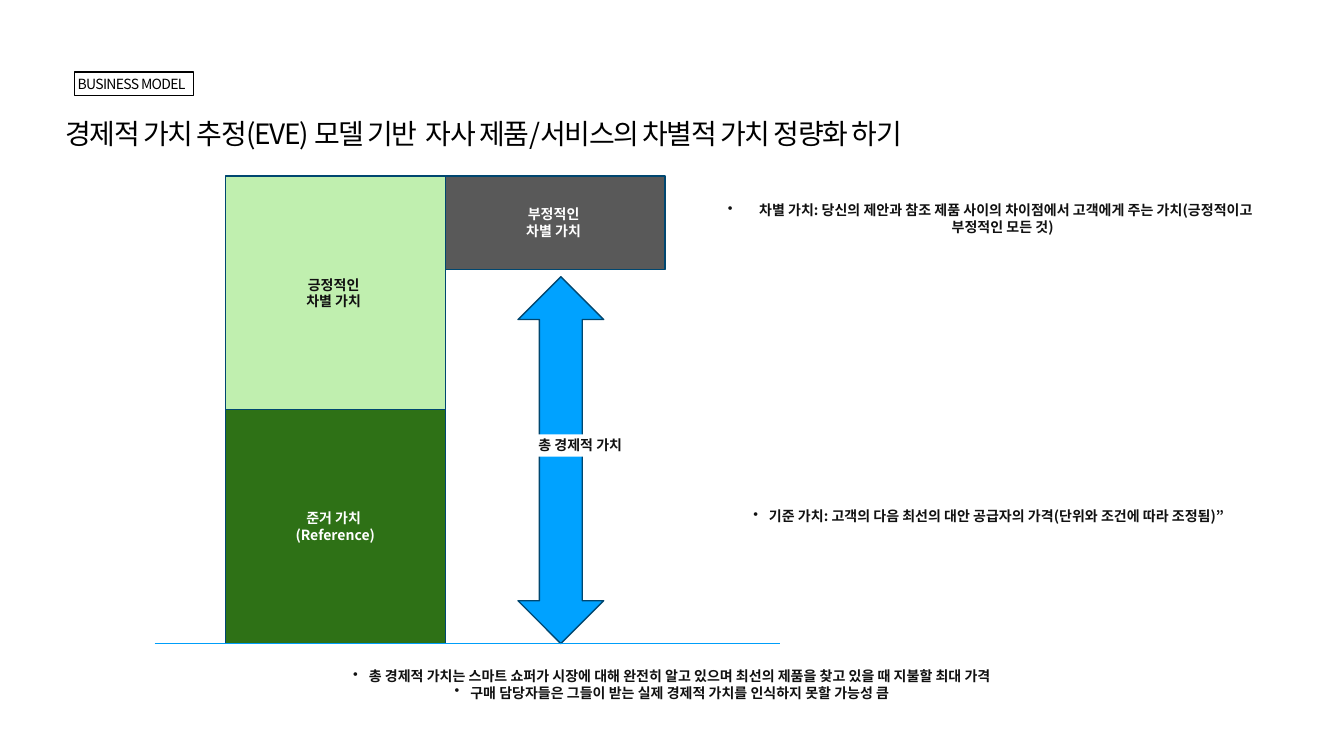
from dataclasses import dataclass

from lxml import etree
from pptx import Presentation
from pptx.dml.color import RGBColor
from pptx.enum import shapes, text
from pptx.oxml import ns
from pptx.util import Inches, Pt


@dataclass(frozen=True)
class Theme:
    font: str = "Noto Sans CJK KR"
    title: int = 40
    body: int = 20
    ink: str = "111111"
    black: str = "000000"
    white: str = "FFFFFF"
    outline: str = "004770"
    positive: str = "C0EFAF"
    reference: str = "2E7116"
    negative: str = "595959"
    arrow: str = "00A2FF"
    baseline: str = "009EF9"


T = Theme()
SHAPE = shapes.MSO_SHAPE
CENTER, LEFT = text.PP_ALIGN.CENTER, text.PP_ALIGN.LEFT
TOP, MIDDLE = text.MSO_ANCHOR.TOP, text.MSO_ANCHOR.MIDDLE


def rgb(value):
    return RGBColor.from_string(value)


def write(sp, lines, size=T.body, color=T.ink, bold=True, align=CENTER,
          anchor=TOP, inset=None, wrap=True, spacing=0, bullet=0):
    """Fill a shape with paragraphs; bullet is the hanging indent in inches."""
    tf = sp.text_frame
    tf.word_wrap, tf.vertical_anchor = wrap, anchor
    tf.auto_size = text.MSO_AUTO_SIZE.NONE
    if inset is not None:
        tf.margin_left = tf.margin_right = Inches(inset)
        tf.margin_top = tf.margin_bottom = Inches(inset)
    for i, line in enumerate(lines):
        p = tf.paragraphs[0] if i == 0 else tf.add_paragraph()
        p.text, p.alignment = line, align
        if bullet:
            pPr = p._p.get_or_add_pPr()
            pPr.set("marL", str(Inches(bullet)))
            pPr.set("indent", str(-Inches(bullet)))
            etree.SubElement(pPr, ns.qn("a:buChar")).set("char", "•")
        for r in p.runs:
            f = r.font
            f.name, f.size, f.bold = T.font, Pt(size), bold
            f.color.rgb = rgb(color)
            rPr = r._r.get_or_add_rPr()
            etree.SubElement(rPr, ns.qn("a:ea")).set("typeface", T.font)
            if spacing:
                rPr.set("spc", str(spacing * 100))


def add_box(s, box, fill=None, line=None, kind=SHAPE.RECTANGLE):
    sp = s.shapes.add_shape(kind, *map(Inches, box))
    sp.shadow.inherit = False
    if fill:
        sp.fill.solid()
        sp.fill.fore_color.rgb = rgb(fill)
    else:
        sp.fill.background()
    if line:
        sp.line.color.rgb, sp.line.width = rgb(line), Pt(2)
    else:
        sp.line.fill.background()
    return sp


def add_baseline(s, left, right, y):
    line = s.shapes.add_connector(shapes.MSO_CONNECTOR.STRAIGHT,
                                  *map(Inches, (left, y, right, y)))
    line.line.color.rgb, line.line.width = rgb(T.baseline), Pt(2.25)
    etree.SubElement(line._element.spPr, ns.qn("a:effectLst"))


def add_header(s, x, y):
    # Title and section tag
    title = s.shapes.title
    title.left, title.top = Inches(x), Inches(y + 0.24)
    title.width, title.height = Inches(23), Inches(1.95)
    write(title, ["경제적 가치 추정(EVE) 모델 기반  자사 제품/서비스의 차별적 가치 정량화 하기"],
          size=T.title, color=T.black, bold=False, align=LEFT,
          anchor=MIDDLE, inset=0.06, spacing=-2)
    tag = add_box(s, (x + 0.24, y, 2.36, 0.47), line=T.black)
    write(tag, ["BUSINESS MODEL"], color=T.black, bold=False, align=LEFT,
          anchor=MIDDLE, inset=0.06, wrap=False, spacing=-1)


def add_value_chart(s, x, y, width, height):
    # Stacked value blocks: two equal halves on the left, a deduction on the right
    col, half, cut = width / 2, height / 2, height / 5
    blocks = [
        (0, 0, half, T.positive, T.ink, ["긍정적인 \v차별 가치 "]),
        (0, half, half, T.reference, T.white, ["준거 가치 ", "(Reference)"]),
        (col, 0, cut, T.negative, T.white, ["부정적인 \v차별 가치 "]),
    ]
    for dx, dy, h, fill, color, lines in blocks:
        sp = add_box(s, (x + dx, y + dy, col, h), fill, T.outline)
        write(sp, lines, color=color, anchor=MIDDLE)

    # Total value arrow, from below the deduction down to the baseline
    arrow_top = y + 2
    add_box(s, (x + 5.81, arrow_top, 1.7, y + height - arrow_top),
            T.arrow, T.outline, SHAPE.UP_DOWN_ARROW)
    add_baseline(s, x - 1.4, x + 11, y + height)
    label = add_box(s, (x + 4.8, y + 5.13, 4.55, 0.44), T.white)
    write(label, ["총 경제적 가치 "])


def add_note(s, box, lines, hang=0.31):
    write(s.shapes.add_textbox(*map(Inches, box)), lines, bullet=hang)


def main():
    prs = Presentation()
    prs.slide_width, prs.slide_height = Inches(26.67), Inches(15)
    s = prs.slides.add_slide(prs.slide_layouts[5])
    add_header(s, 1.24, 1.43)
    add_value_chart(s, 4.47, 3.49, 8.73, 9.28)

    # Definitions beside the chart and conclusions below it
    add_note(s, (14.2, 3.95, 10.9, 0.77),
             ["차별 가치: 당신의 제안과 참조 제품 사이의 차이점에서 고객에게 주는 가치"
              "(긍정적이고 부정적인 모든 것)  "], hang=0.62)
    add_note(s, (14.17, 10.02, 10.9, 0.44),
             ["기준 가치: 고객의 다음 최선의 대안 공급자의 가격(단위와 조건에 따라 조정됨)”"])
    add_note(s, (2.82, 13.19, 21.03, 1.11),
             ["총 경제적 가치는 스마트 쇼퍼가 시장에 대해 완전히 알고 있으며 "
              "최선의 제품을 찾고 있을 때 지불할 최대 가격",
              "구매 담당자들은 그들이 받는 실제 경제적 가치를 인식하지 못할 가능성 큼"])
    prs.save("out.pptx")


if __name__ == "__main__":
    main()
